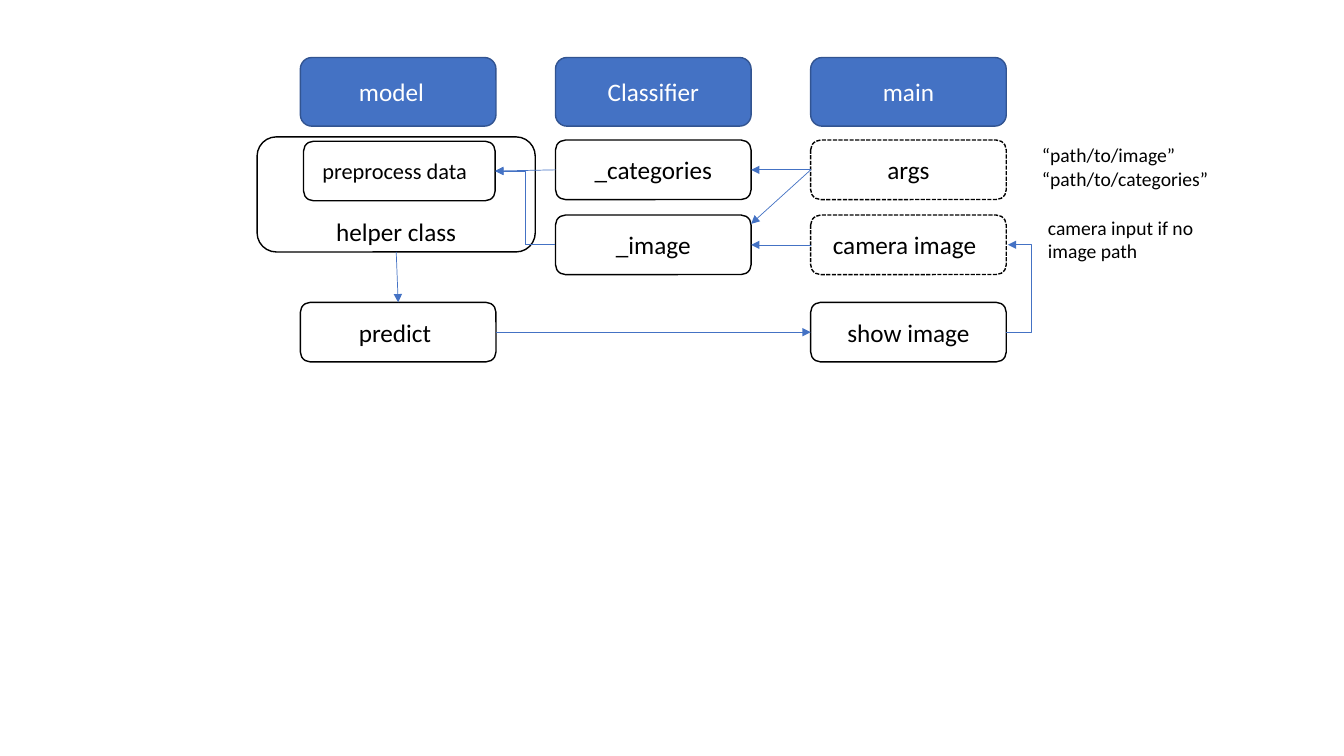
from dataclasses import dataclass

from lxml import etree
from pptx import Presentation
from pptx import util as u
from pptx.dml.color import RGBColor
from pptx.enum import dml, shapes, text
from pptx.oxml.ns import qn


@dataclass(frozen=True)
class Theme:
    """Colours, font and type sizes of the slide."""
    font: str = "Calibri"
    accent: str = "4472C4"
    accent_edge: str = "325491"
    ink: str = "000000"
    paper: str = "FFFFFF"
    label: int = 18
    small_label: int = 16
    note: int = 14


THEME = Theme()

# Grid in centimetres
COLUMN_LEFT, COLUMN_PITCH, BOX_WIDTH = 7.57, 6.43, 4.93
HEADER_TOP, HEADER_HEIGHT = 1.45, 1.73
ROW_TOPS, BOX_HEIGHT = (3.53, 5.42, 7.62), 1.5

HEADERS = ("model", "Classifier", "main")
HELPER = ("helper class", (6.48, 3.45, 7.01, 2.9))
PREPROCESS = ("preprocess data", (7.65, 3.56, 4.83, 1.5))
# label, column, row, dashed, shift of the label to the left
STEPS = (
    ("_categories", 1, 0, False, 0),
    ("_image", 1, 1, False, 0),
    ("args", 2, 0, True, 0),
    ("camera image", 2, 1, True, 0.1),
    ("predict", 0, 2, False, 0.08),
    ("show image", 2, 2, False, 0),
)
NOTES = (
    (("“path/to/image”", "“path/to/categories”"), (26.01, 3.48, 4.83, 1.45)),
    (("camera input if no image path",), (26.16, 5.31, 5.31, 1.45)),
)

# Connection sites of a rounded rectangle
TOP, LEFT, BOTTOM, RIGHT = range(4)
STRAIGHT, ELBOW = shapes.MSO_CONNECTOR.STRAIGHT, shapes.MSO_CONNECTOR.ELBOW
FLOWS = (
    ("camera image", LEFT, "_image", RIGHT, STRAIGHT),
    ("args", LEFT, "_categories", RIGHT, STRAIGHT),
    ("helper class", BOTTOM, "predict", TOP, STRAIGHT),
    ("predict", RIGHT, "show image", LEFT, STRAIGHT),
    ("_categories", LEFT, "preprocess data", RIGHT, STRAIGHT),
    ("_image", LEFT, "preprocess data", RIGHT, ELBOW),
)


def colour(value):
    """Turn a hex string into a colour."""
    return RGBColor.from_string(value)


def write(frame, lines, size, ink, align):
    """Fill a text frame with one paragraph per line."""
    frame.text = "\n".join(lines)
    for para in frame.paragraphs:
        para.alignment = align
        para.font.name = THEME.font
        para.font.size = u.Pt(size)
        para.font.color.rgb = colour(ink)


def add_box(label, place, size=THEME.label, fill=THEME.paper, edge=THEME.ink,
            ink=THEME.ink, dashed=False, shift=0):
    """Add a rounded box with its label, moved left by shift."""
    box = slide.shapes.add_shape(shapes.MSO_SHAPE.ROUNDED_RECTANGLE,
                                 *map(u.Cm, place))
    box.shadow.inherit = False
    box.fill.solid()
    box.fill.fore_color.rgb = colour(fill)
    box.line.color.rgb = colour(edge)
    box.line.width = u.Pt(1)
    if dashed:
        box.line.dash_style = dml.MSO_LINE.SQUARE_DOT
    frame = box.text_frame
    frame.margin_left, frame.margin_right = 0, u.Cm(2 * shift)
    frame.margin_top = frame.margin_bottom = 0
    frame.vertical_anchor = text.MSO_ANCHOR.MIDDLE
    write(frame, [label], size, ink, text.PP_ALIGN.CENTER)
    boxes[label] = box
    return box


def add_note(lines, place):
    """Add a wrapped remark beside the diagram."""
    frame = slide.shapes.add_textbox(*map(u.Cm, place)).text_frame
    frame.word_wrap = True
    write(frame, lines, THEME.note, THEME.ink, text.PP_ALIGN.LEFT)


def add_arrow(kind, start=(0, 0), end=(0, 0)):
    """Add a thin accent connector with an arrowhead at its end."""
    arrow = slide.shapes.add_connector(kind, *map(u.Cm, (*start, *end)))
    arrow.line.color.rgb = colour(THEME.accent)
    arrow.line.width = u.Pt(0.5)
    etree.SubElement(arrow.line._get_or_add_ln(), qn("a:tailEnd"), type="triangle")
    etree.SubElement(arrow._element.spPr, qn("a:effectLst"))
    return arrow


def column_left(column):
    """Return the left edge of a column."""
    return COLUMN_LEFT + column * COLUMN_PITCH


deck = Presentation()
deck.slide_width, deck.slide_height = u.Cm(33.87), u.Cm(19.05)
slide = deck.slides.add_slide(deck.slide_layouts[6])
boxes = {}

helper = add_box(*HELPER)
helper.text_frame.vertical_anchor = text.MSO_ANCHOR.BOTTOM
for column, header in enumerate(HEADERS):
    add_box(header, (column_left(column), HEADER_TOP, BOX_WIDTH, HEADER_HEIGHT),
            fill=THEME.accent, edge=THEME.accent_edge, ink=THEME.paper,
            shift=0.17 if header == "model" else 0)
add_box(*PREPROCESS, size=THEME.small_label, shift=0.12)
for label, column, row, dashed, shift in STEPS:
    add_box(label, (column_left(column), ROW_TOPS[row], BOX_WIDTH, BOX_HEIGHT),
            dashed=dashed, shift=shift)
for lines, place in NOTES:
    add_note(lines, place)

for source, out_site, target, in_site, kind in FLOWS:
    arrow = add_arrow(kind)
    arrow.begin_connect(boxes[source], out_site)
    arrow.end_connect(boxes[target], in_site)

# args also feeds the upper corner of _image
corner = (column_left(1) + BOX_WIDTH, ROW_TOPS[1] + 0.22)
add_arrow(STRAIGHT, end=corner).begin_connect(boxes["args"], LEFT)

# The loop from show image back to camera image swings out to the right
loop_left, loop_reach, loop_width = column_left(2) + BOX_WIDTH, 0.62, 0.04
middle = BOX_HEIGHT / 2
loop = add_arrow(ELBOW, (loop_left, ROW_TOPS[2] + middle),
                 (loop_left + loop_width, ROW_TOPS[1] + middle))
bend = loop._element.spPr.find(qn("a:prstGeom")).get_or_add_avLst()
etree.SubElement(bend, qn("a:gd"), name="adj1",
                 fmla=f"val {round(loop_reach / loop_width * 100000)}")

deck.save("out.pptx")
